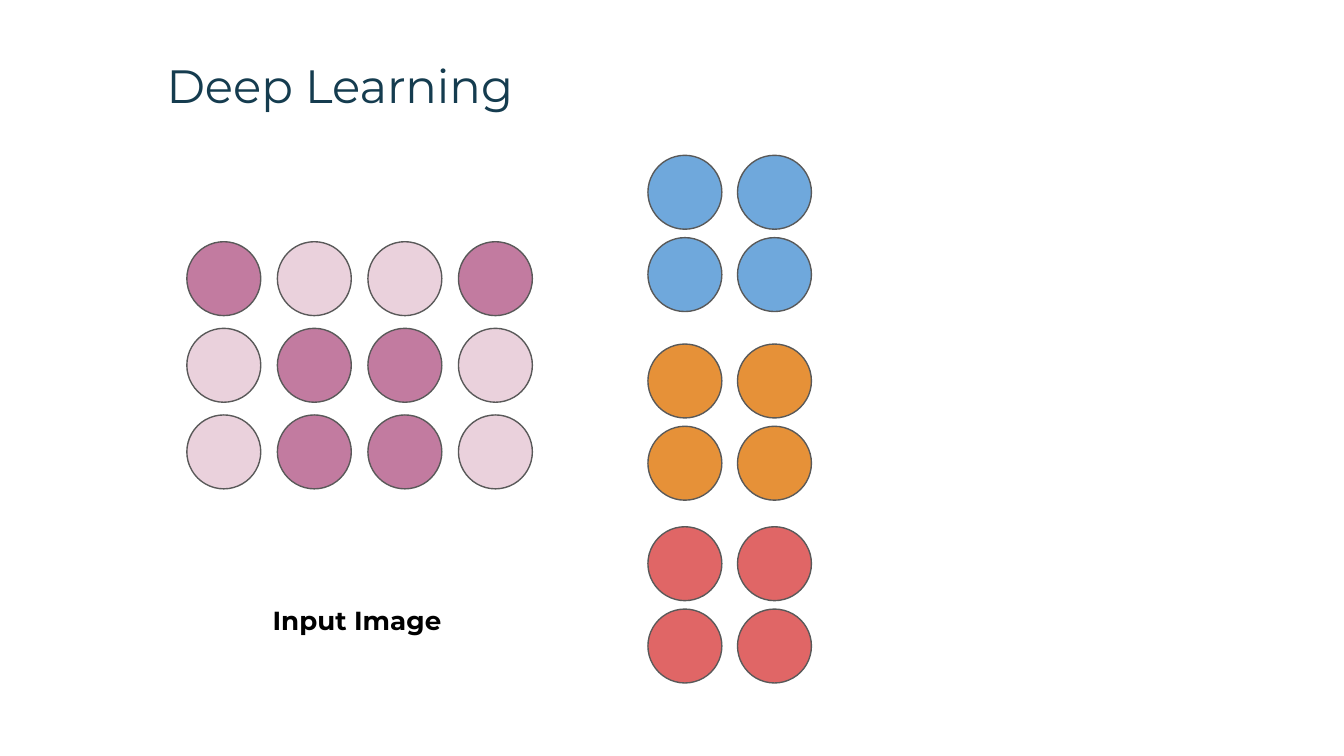
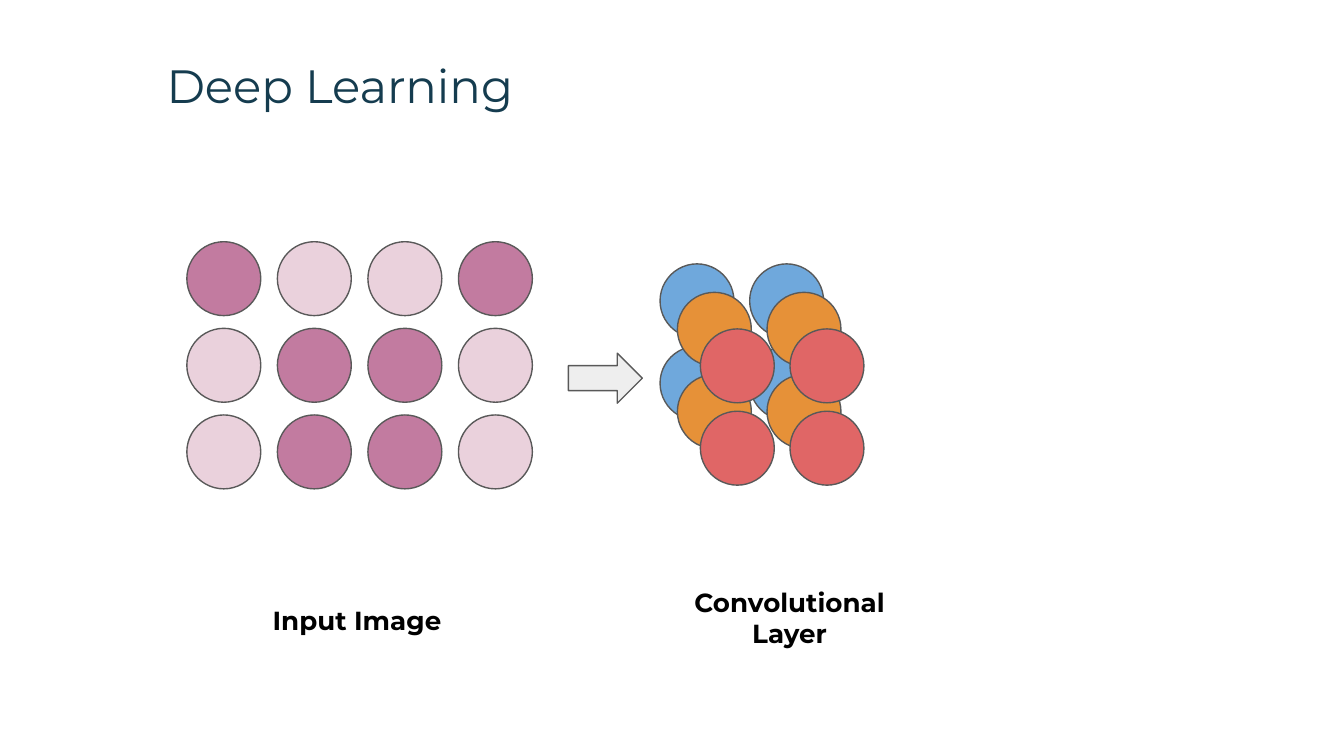
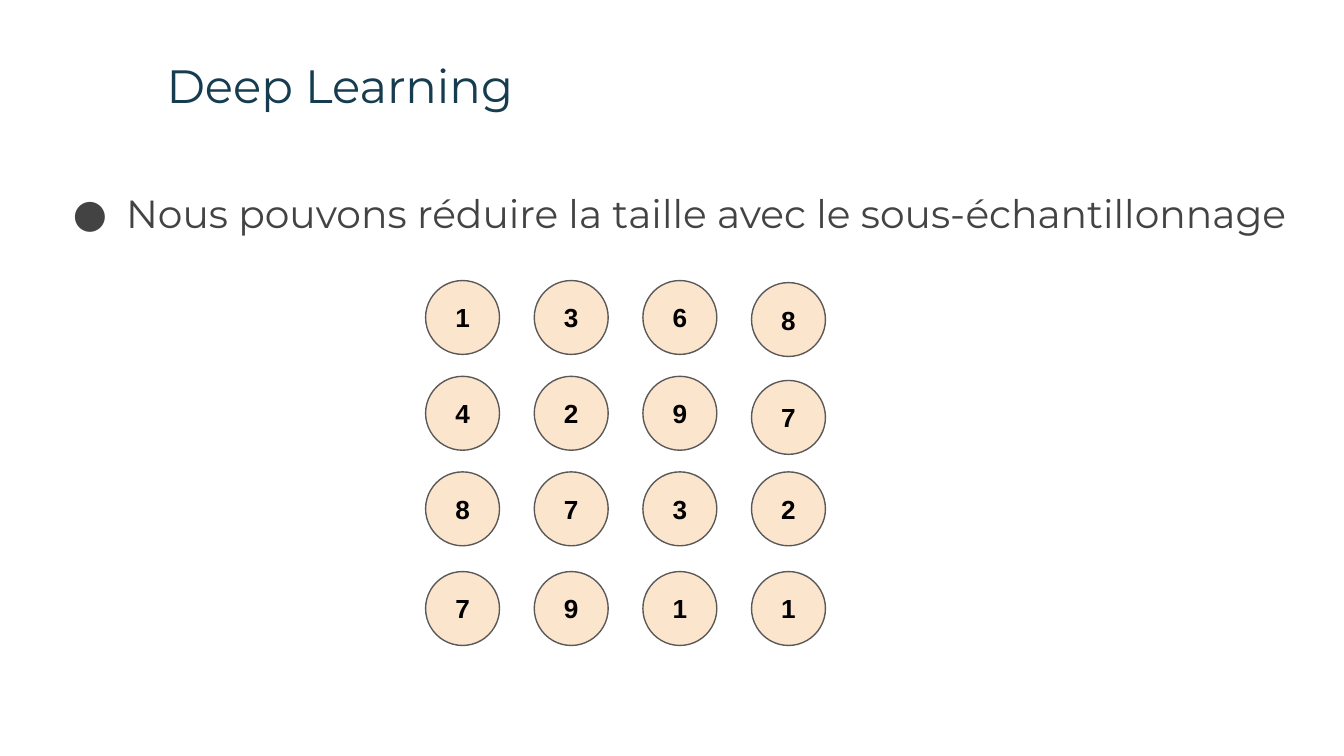
from dataclasses import dataclass

from lxml import etree
from pptx import Presentation
from pptx.dml.color import RGBColor
from pptx.enum.shapes import MSO_SHAPE
from pptx.enum.text import MSO_ANCHOR, MSO_AUTO_SIZE, PP_ALIGN
from pptx.oxml.ns import qn
from pptx.util import Pt

OVAL, RIGHT_ARROW = MSO_SHAPE.OVAL, MSO_SHAPE.RIGHT_ARROW
TOP, MIDDLE = MSO_ANCHOR.TOP, MSO_ANCHOR.MIDDLE
LEFT, CENTER = PP_ALIGN.LEFT, PP_ALIGN.CENTER
NO_AUTOFIT = MSO_AUTO_SIZE.NONE
TITLE_ONLY = 5


@dataclass(frozen=True)
class Theme:
    """Colours, fonts and sizes shared by the slides."""
    title: str = "153C4F"
    body: str = "434343"
    ink: str = "000000"
    outline: str = "595959"
    arrow: str = "EEEEEE"
    pixel_on: str = "C27BA0"
    pixel_off: str = "EAD1DC"
    filters: tuple = ("6FA8DC", "E69138", "E06666")
    number: str = "FCE5CD"
    font: str = "Montserrat"
    number_font: str = "Arial"
    title_size: float = 25
    body_size: float = 21
    label_size: float = 14
    outline_width: float = 0.75
    inset: float = 7.2
    neuron: float = 39.6


THEME = Theme()
INPUT_PIXELS = ("1001", "0110", "0110")
INPUT_ORIGIN, INPUT_STEP = (100.1, 129.5), (48.5, 46.4)
FILTER_STEP = (48, 44.1)
SEPARATE_FILTERS = ((347.1, 83.2), (347.1, 184.3), (347.1, 282.2))
STACKED_FILTERS = ((353.6, 141.4), (362.9, 156.6), (375.2, 176.2))
NUMBERS_LEFT, NUMBERS_STEP = 228, 58.2
NUMBER_ROWS = (
    (150.3, 151.4, "1368"),
    (201.6, 203.8, "4297"),
    (252.8, 252.8, "8732"),
    (306.2, 306.2, "7911"),
)


def style_frame(frame, anchor):
    """Give a text frame the shared insets and wrapping."""
    frame.word_wrap = True
    frame.auto_size = NO_AUTOFIT
    frame.vertical_anchor = anchor
    frame.margin_left = frame.margin_right = Pt(THEME.inset)
    frame.margin_top = frame.margin_bottom = Pt(THEME.inset)


def style_paragraph(paragraph, size, color, align=LEFT, bold=False, font=THEME.font):
    """Set the alignment and font of a paragraph."""
    paragraph.alignment = align
    paragraph.font.name = font
    paragraph.font.size = Pt(size)
    paragraph.font.bold = bold
    paragraph.font.color.rgb = RGBColor.from_string(color)


def add_titled_slide(deck, title):
    """Add a slide with the shared title style."""
    slide = deck.slides.add_slide(deck.slide_layouts[TITLE_ONLY])
    heading = slide.shapes.title
    heading.left, heading.top = Pt(82), Pt(23)
    heading.width, heading.height = Pt(613.5), Pt(45.4)
    heading.text_frame.text = title
    style_frame(heading.text_frame, TOP)
    style_paragraph(heading.text_frame.paragraphs[0], THEME.title_size, THEME.title)
    return slide


def add_outlined(slide, kind, left, top, width, height, fill):
    """Add a filled preset shape with the shared outline."""
    outlined = slide.shapes.add_shape(kind, Pt(left), Pt(top), Pt(width), Pt(height))
    outlined.shadow.inherit = False
    outlined.fill.solid()
    outlined.fill.fore_color.rgb = RGBColor.from_string(fill)
    outlined.line.color.rgb = RGBColor.from_string(THEME.outline)
    outlined.line.width = Pt(THEME.outline_width)
    return outlined


def add_neuron(slide, left, top, fill, number=""):
    """Add a circle, with a number in it if one is given."""
    neuron = add_outlined(slide, OVAL, left, top, THEME.neuron, THEME.neuron, fill)
    if number:
        neuron.text_frame.text = number
        style_frame(neuron.text_frame, MIDDLE)
        style_paragraph(neuron.text_frame.paragraphs[0], THEME.label_size, THEME.ink,
                        CENTER, True, THEME.number_font)


def add_neuron_grid(slide, origin, step, fills):
    """Add circles in rows and columns, one for each fill."""
    for row, row_fills in enumerate(fills):
        for column, fill in enumerate(row_fills):
            add_neuron(slide, origin[0] + column * step[0], origin[1] + row * step[1], fill)


def add_caption(slide, left, top, width, text, align=LEFT):
    """Add a bold label, one paragraph per line of text."""
    caption = slide.shapes.add_textbox(Pt(left), Pt(top), Pt(width), Pt(39.6))
    caption.text_frame.text = text
    style_frame(caption.text_frame, TOP)
    for paragraph in caption.text_frame.paragraphs:
        style_paragraph(paragraph, THEME.label_size, THEME.ink, align, True)


def add_bullet(slide, text):
    """Add the body text as one bulleted paragraph."""
    body = slide.shapes.add_textbox(Pt(24.5), Pt(90.7), Pt(695.5), Pt(269.3))
    body.text_frame.text = text
    style_frame(body.text_frame, TOP)
    paragraph = body.text_frame.paragraphs[0]
    paragraph.line_spacing = 1.15
    properties = paragraph._p.get_or_add_pPr()
    properties.set("marL", str(Pt(36)))
    properties.set("indent", str(Pt(-28.5)))
    bullet_color = etree.SubElement(properties, qn("a:buClr"))
    etree.SubElement(bullet_color, qn("a:srgbClr"), val=THEME.body)
    etree.SubElement(properties, qn("a:buFont"), typeface=THEME.font)
    etree.SubElement(properties, qn("a:buChar"), char="●")
    style_paragraph(paragraph, THEME.body_size, THEME.body)


def add_input_image(slide):
    """Add the captioned pixel grid of the input."""
    fills = [[THEME.pixel_on if pixel == "1" else THEME.pixel_off for pixel in row]
             for row in INPUT_PIXELS]
    add_neuron_grid(slide, INPUT_ORIGIN, INPUT_STEP, fills)
    add_caption(slide, 139, 316.8, 115.2, "Input Image")


def add_filters(slide, origins):
    """Add one two-by-two filter at each origin."""
    for origin, fill in zip(origins, THEME.filters):
        add_neuron_grid(slide, origin, FILTER_STEP, [[fill] * 2] * 2)


def add_number_grid(slide):
    """Add the numbered circles, whose last column has its own tops."""
    for top, last_top, digits in NUMBER_ROWS:
        tops = [top] * (len(digits) - 1) + [last_top]
        for column, (digit, digit_top) in enumerate(zip(digits, tops)):
            add_neuron(slide, NUMBERS_LEFT + column * NUMBERS_STEP, digit_top,
                       THEME.number, digit)


def main():
    """Build and save the deck."""
    deck = Presentation()
    deck.slide_width, deck.slide_height = Pt(720), Pt(405)
    filters, convolution, sampling = [
        add_titled_slide(deck, "Deep Learning") for _ in range(3)]

    add_input_image(filters)
    add_filters(filters, SEPARATE_FILTERS)

    add_input_image(convolution)
    add_filters(convolution, STACKED_FILTERS)
    add_outlined(convolution, RIGHT_ARROW, 304.5, 189.2, 39.6, 26.8, THEME.arrow)
    add_caption(convolution, 363.6, 306.7, 118.8, "Convolutional\nLayer", CENTER)

    add_bullet(sampling, "Nous pouvons réduire la taille avec le sous-échantillonnage")
    add_number_grid(sampling)
    deck.save("out.pptx")


if __name__ == "__main__":
    main()
